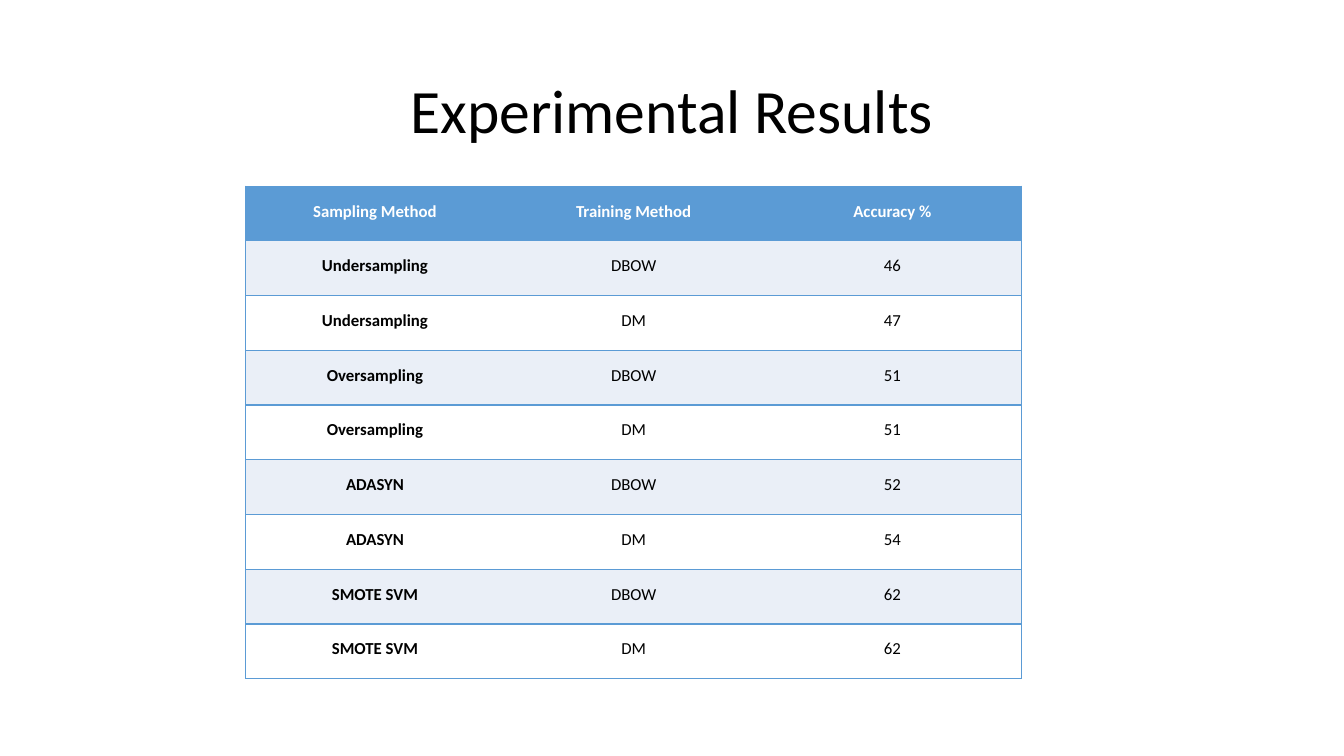
from dataclasses import dataclass
from typing import Any

from lxml.etree import SubElement
from pptx import Presentation
from pptx.dml.color import RGBColor
from pptx.enum.text import MSO_ANCHOR, PP_ALIGN
from pptx.oxml.ns import qn
from pptx.util import Cm, Pt

BLACK = RGBColor(0x00, 0x00, 0x00)
WHITE = RGBColor(0xFF, 0xFF, 0xFF)
BLUE = RGBColor(0x5B, 0x9B, 0xD5)
PALE_BLUE = RGBColor(0xEA, 0xEF, 0xF7)

COLUMN_WIDTH = Cm(6.52)
ROW_HEIGHT = Cm(1.38)
BORDER_WIDTH = Pt(1)
HEADINGS = ("Sampling Method", "Training Method", "Accuracy %")


@dataclass(frozen=True)
class Result:
    sampling: str
    training: str
    accuracy: int


RESULTS = [
    Result("Undersampling", "DBOW", 46),
    Result("Undersampling", "DM", 47),
    Result("Oversampling", "DBOW", 51),
    Result("Oversampling", "DM", 51),
    Result("ADASYN", "DBOW", 52),
    Result("ADASYN", "DM", 54),
    Result("SMOTE SVM", "DBOW", 62),
    Result("SMOTE SVM", "DM", 62),
]


def set_attributes(target: Any, values: dict[str, Any]) -> None:
    for name, value in values.items():
        setattr(target, name, value)


def write_text(frame: Any, text: str, size: int, color: RGBColor,
               bold: bool, line_spacing: Any) -> None:
    para = frame.paragraphs[0]
    set_attributes(para, {"alignment": PP_ALIGN.CENTER, "line_spacing": line_spacing})
    span = para.add_run()
    span.text = text
    set_attributes(span.font, {"name": "Calibri", "size": Pt(size), "bold": bold})
    span.font.color.rgb = color


def add_borders(cell: Any, visible_edges: str) -> None:
    """Outline the given edges (L, R, T, B) and clear the others."""
    properties = cell._tc.get_or_add_tcPr()
    for edge in "LRTB":
        line = SubElement(properties, qn(f"a:ln{edge}"), w=str(BORDER_WIDTH))
        if edge in visible_edges:
            fill = SubElement(line, qn("a:solidFill"))
            SubElement(fill, qn("a:srgbClr"), val=str(BLUE))
        else:
            SubElement(line, qn("a:noFill"))


def add_title(page: Any, text: str) -> None:
    box = page.shapes.add_textbox(Cm(2.33), Cm(1.01), Cm(29.21), Cm(3.68))
    set_attributes(box.text_frame, {"word_wrap": True, "vertical_anchor": MSO_ANCHOR.MIDDLE})
    write_text(box.text_frame, text, 44, BLACK, False, 0.9)


def add_results_table(page: Any) -> None:
    rows = [HEADINGS] + [(item.sampling, item.training, str(item.accuracy)) for item in RESULTS]
    last_column = len(HEADINGS) - 1
    table = page.shapes.add_table(
        len(rows), len(HEADINGS), Cm(6.19), Cm(4.69),
        COLUMN_WIDTH * len(HEADINGS), ROW_HEIGHT * len(rows)).table
    for column in table.columns:
        column.width = COLUMN_WIDTH
    for row in table.rows:
        row.height = ROW_HEIGHT

    for row_index, values in enumerate(rows):
        is_header = row_index == 0
        band = BLUE if is_header else PALE_BLUE if row_index % 2 else WHITE
        for column_index, text in enumerate(values):
            cell = table.cell(row_index, column_index)
            set_attributes(cell, {
                "vertical_anchor": MSO_ANCHOR.MIDDLE,
                "margin_left": Cm(0.19), "margin_right": Cm(0.19),
                "margin_top": 0, "margin_bottom": 0,
            })
            # Borders come before the fill in the cell properties
            sides = {0: "L", last_column: "R"}.get(column_index, "")
            add_borders(cell, "TB" + sides)
            cell.fill.solid()
            cell.fill.fore_color.rgb = band
            write_text(cell.text_frame, text, 12, WHITE if is_header else BLACK,
                       is_header or column_index == 0, Pt(11.5))


def main() -> None:
    deck = Presentation()
    set_attributes(deck, {"slide_width": Cm(33.87), "slide_height": Cm(19.05)})
    page = deck.slides.add_slide(deck.slide_layouts[6])
    add_title(page, "Experimental Results")
    add_results_table(page)
    deck.save("out.pptx")


if __name__ == "__main__":
    main()
